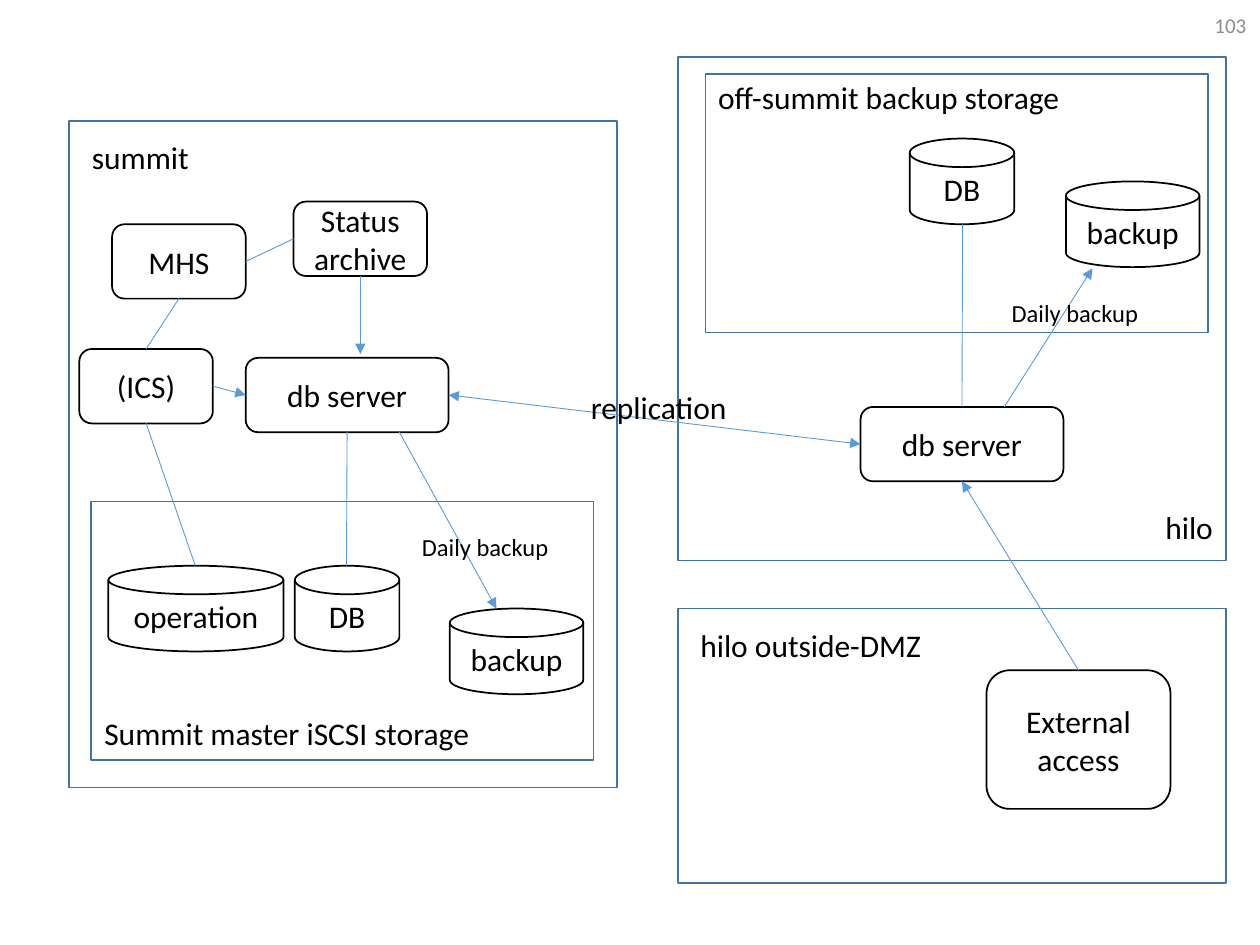
from dataclasses import dataclass
from typing import Dict, Tuple, Union

import pptx
import pptx.dml.color
import pptx.enum.shapes
import pptx.enum.text
import pptx.oxml.ns
import pptx.util
from lxml import etree

Inches = pptx.util.Inches
Pt = pptx.util.Pt
SHAPE = pptx.enum.shapes.MSO_SHAPE
ALIGN = pptx.enum.text.PP_ALIGN
BOX = SHAPE.ROUNDED_RECTANGLE
DISK = SHAPE.FLOWCHART_MAGNETIC_DISK
TOP, LEFT, BOTTOM, RIGHT = range(4)
End = Union[Tuple[float, float], Tuple[str, int]]


@dataclass
class Frame:
    x: float
    y: float
    w: float
    h: float


@dataclass
class Node:
    key: str
    text: str
    kind: int
    x: float
    y: float
    w: float
    h: float


@dataclass
class Label:
    text: str
    x: float
    y: float
    w: float
    h: float = 0.4
    size: int = 18


@dataclass
class Link:
    start: End
    end: End
    head: bool = False
    tail: bool = False


FRAMES = [
    Frame(0.55, 0.96, 4.35, 5.29),
    Frame(0.72, 3.98, 3.99, 2.05),
    Frame(5.38, 0.45, 4.35, 4),
    Frame(5.6, 0.59, 3.99, 2.05),
    Frame(5.38, 4.83, 4.35, 2.18),
]

NODES = [
    Node("operation", "operation", DISK, 0.86, 4.49, 1.39, 0.68),
    Node("summit db", "DB", DISK, 2.34, 4.49, 0.83, 0.68),
    Node("summit backup", "backup", DISK, 3.57, 4.83, 1.06, 0.68),
    Node("summit server", "db server", BOX, 1.95, 2.84, 1.61, 0.59),
    Node("mhs", "MHS", BOX, 0.89, 1.78, 1.06, 0.59),
    Node("archive", "Status archive", BOX, 2.33, 1.6, 1.06, 0.59),
    Node("ics", "(ICS)", BOX, 0.63, 2.77, 1.06, 0.59),
    Node("hilo db", "DB", DISK, 7.22, 1.1, 0.83, 0.68),
    Node("hilo backup", "backup", DISK, 8.46, 1.44, 1.06, 0.68),
    Node("hilo server", "db server", BOX, 6.83, 3.23, 1.61, 0.59),
    Node("external", "External access", BOX, 7.83, 5.32, 1.46, 1.1),
]

LINKS = [
    Link(("summit server", BOTTOM), (2.75, 4.49)),
    Link((7.64, 1.78), ("hilo server", TOP)),
    Link(("summit server", RIGHT), ("hilo server", LEFT), head=True, tail=True),
    Link((3.17, 3.43), (3.94, 4.83), tail=True),
    Link((7.97, 3.23), (8.67, 2.13), tail=True),
    Link(("external", TOP), ("hilo server", BOTTOM), tail=True),
    Link(("ics", TOP), ("mhs", BOTTOM)),
    Link(("mhs", RIGHT), ("archive", LEFT)),
    Link(("archive", BOTTOM), (2.86, 2.81), tail=True),
    Link(("ics", BOTTOM), (1.55, 4.49)),
    Link(("ics", RIGHT), ("summit server", LEFT), tail=True),
]

LABELS = [
    Label("summit", 0.63, 1.05, 0.98),
    Label("hilo", 9.15, 3.98, 0.58),
    Label("hilo outside-DMZ", 5.46, 4.92, 1.97),
    Label("Summit master iSCSI storage", 0.73, 5.62, 3.13),
    Label("off-summit backup storage", 5.6, 0.57, 2.95),
    Label("replication", 4.59, 3.03, 1.29),
    Label("Daily backup", 3.25, 4.17, 1.22, 0.34, 14),
    Label("Daily backup", 7.93, 2.32, 1.22, 0.34, 14),
]


def rgb(color: str) -> pptx.dml.color.RGBColor:
    return pptx.dml.color.RGBColor.from_string(color)


def write(sp, text: str, size: int, color: str, align: int) -> None:
    tf = sp.text_frame
    tf.text = text
    p = tf.paragraphs[0]
    p.alignment = align
    font = p.runs[0].font
    font.name = "Calibri"
    font.size = Pt(size)
    font.color.rgb = rgb(color)


def add_outline(s, kind: int, item: Union[Frame, Node], color: str):
    sp = s.shapes.add_shape(
        kind, Inches(item.x), Inches(item.y), Inches(item.w), Inches(item.h))
    sp.shadow.inherit = False
    sp.line.color.rgb = rgb(color)
    sp.line.width = Pt(1)
    return sp


def add_frame(s, frame: Frame) -> None:
    add_outline(s, SHAPE.RECTANGLE, frame, "43739E").fill.background()


def add_node(s, node: Node):
    sp = add_outline(s, node.kind, node, "000000")
    sp.fill.solid()
    sp.fill.fore_color.rgb = rgb("FFFFFF")
    sp.text_frame.word_wrap = True
    sp.text_frame.vertical_anchor = pptx.enum.text.MSO_ANCHOR.MIDDLE
    write(sp, node.text, 18, "000000", ALIGN.CENTER)
    return sp


def add_label(s, label: Label, color: str = "000000", align: int = ALIGN.LEFT):
    sp = s.shapes.add_textbox(
        Inches(label.x), Inches(label.y), Inches(label.w), Inches(label.h))
    sp.text_frame.word_wrap = False
    write(sp, label.text, label.size, color, align)
    return sp


def add_link(s, link: Link, nodes: Dict[str, object]) -> None:
    start, end = [(0, 0) if isinstance(e[0], str) else e
                  for e in (link.start, link.end)]
    cx = s.shapes.add_connector(
        pptx.enum.shapes.MSO_CONNECTOR.STRAIGHT,
        Inches(start[0]), Inches(start[1]), Inches(end[0]), Inches(end[1]))
    for e, connect in ((link.start, cx.begin_connect), (link.end, cx.end_connect)):
        if isinstance(e[0], str):
            connect(nodes[e[0]], e[1])
    cx.line.color.rgb = rgb("5B9BD5")
    cx.line.width = Pt(0.5)
    ln = cx.line._get_or_add_ln()
    for tag, shown in (("a:headEnd", link.head), ("a:tailEnd", link.tail)):
        if shown:
            etree.SubElement(ln, pptx.oxml.ns.qn(tag), type="triangle")
    etree.SubElement(cx._element.spPr, pptx.oxml.ns.qn("a:effectLst"))


def main() -> None:
    prs = pptx.Presentation()
    prs.slide_width = Inches(10)
    prs.slide_height = Inches(7.5)
    s = prs.slides.add_slide(prs.slide_layouts[6])
    for frame in FRAMES:
        add_frame(s, frame)
    nodes = {node.key: add_node(s, node) for node in NODES}
    for link in LINKS:
        add_link(s, link, nodes)
    for label in LABELS:
        add_label(s, label)
    number = add_label(s, Label("103", 7.74, 0, 2.25, 0.4, 12), "8C8C8C", ALIGN.RIGHT)
    number.text_frame.word_wrap = True
    number.text_frame.vertical_anchor = pptx.enum.text.MSO_ANCHOR.MIDDLE
    prs.save("out.pptx")


if __name__ == "__main__":
    main()
